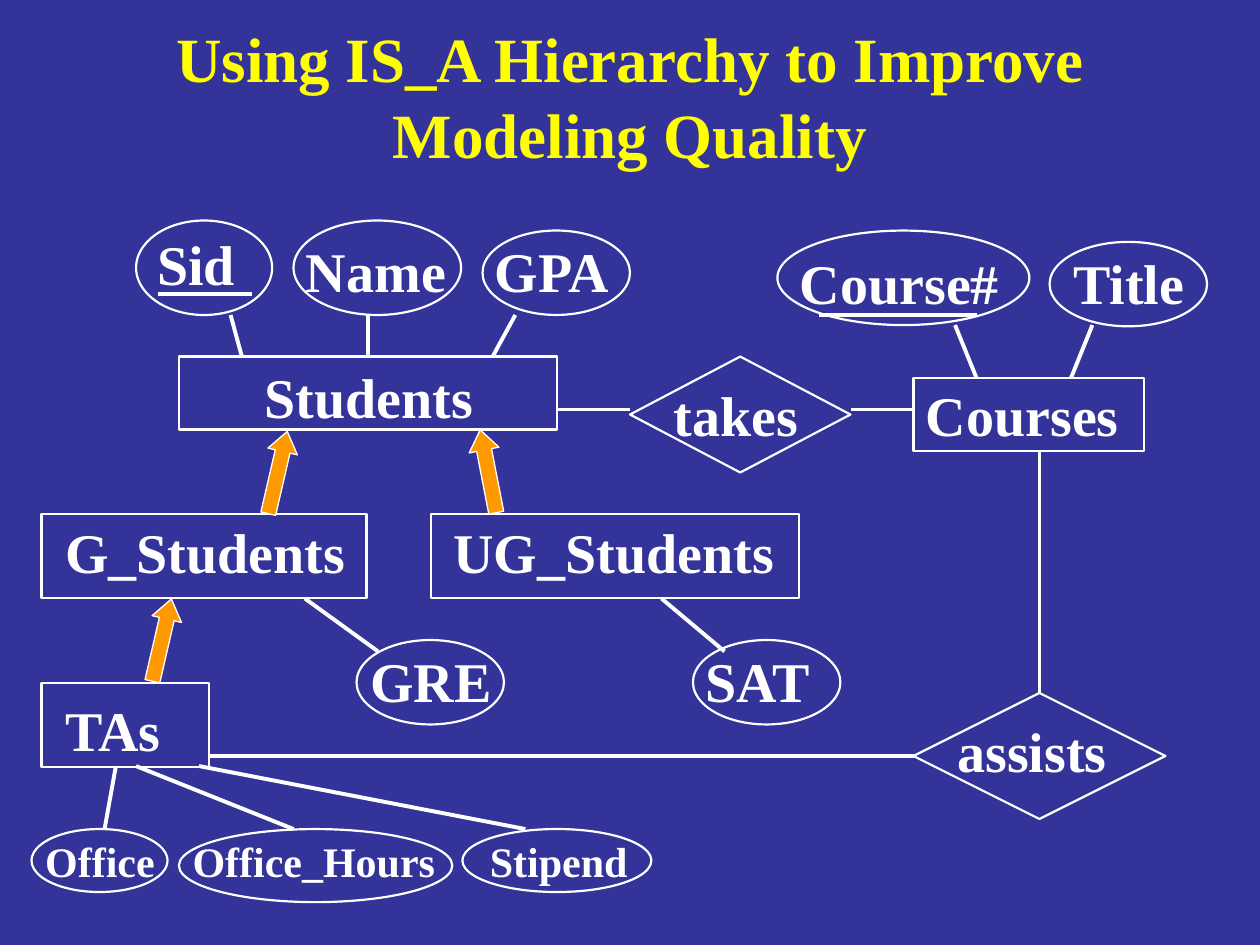
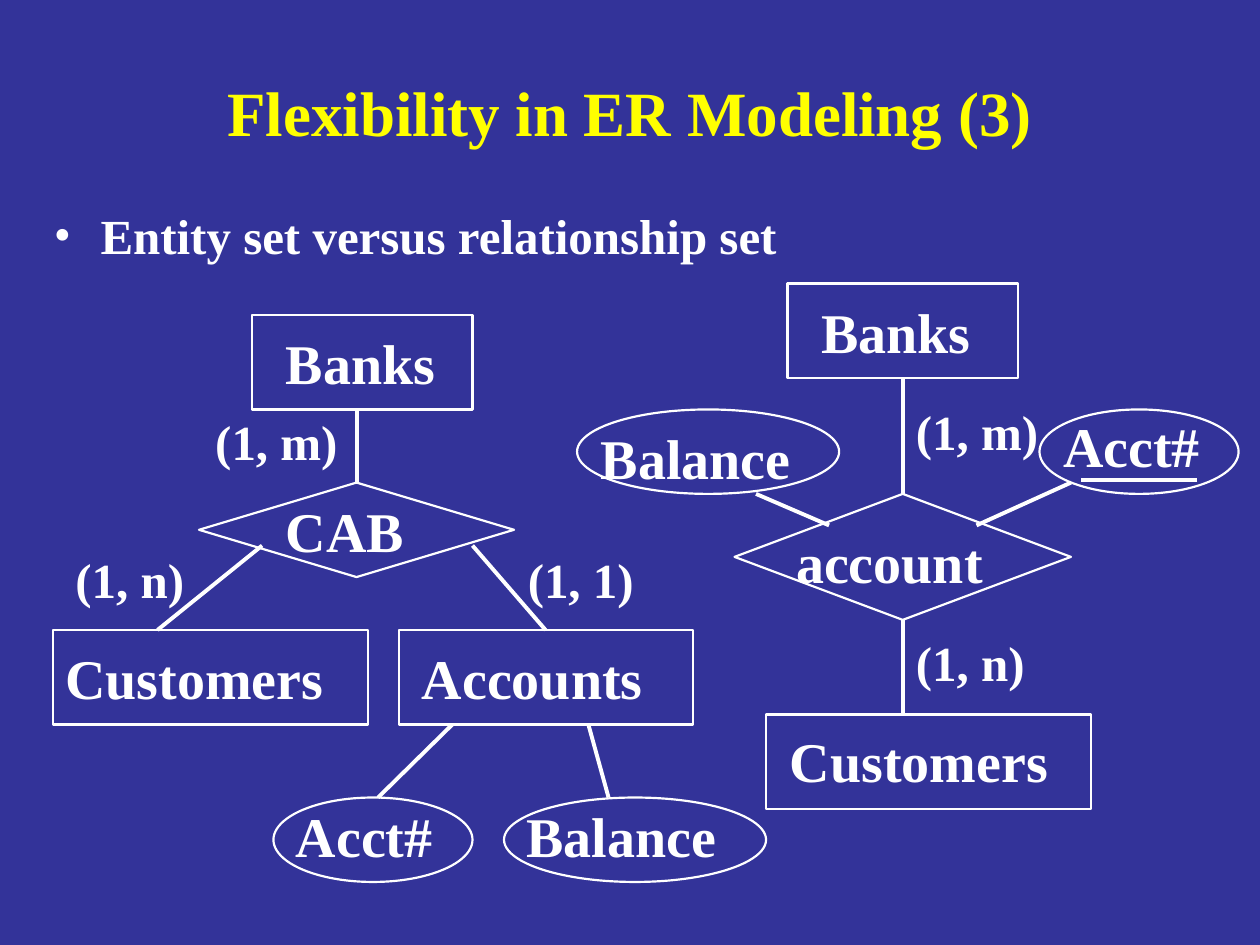
from lxml import etree
from pptx import Presentation
from pptx import util as u
from pptx.dml import color
from pptx.enum import shapes, text
from pptx.oxml import ns

BLUE, YELLOW, WHITE, ORANGE = "333399", "FFFF00", "FFFFFF", "FF9900"
FONT = "Times New Roman"
KIND = shapes.MSO_SHAPE
RECT, OVAL, RHOMB = KIND.RECTANGLE, KIND.OVAL, KIND.DIAMOND

IS_A_NODES = [
    (OVAL, (1.08, 1.75, 1.08, 0.75), "Sid", (1.15, 1.77, 0.82)),
    (OVAL, (2.33, 1.75, 1.33, 0.75), "Name", (2.33, 1.83, 1.31)),
    (OVAL, (3.83, 1.83, 1.17, 0.67), "GPA", (3.83, 1.83, 1.14)),
    (OVAL, (6.17, 1.83, 2, 0.75), "Course#", (6.25, 1.92, 1.78)),
    (OVAL, (8.33, 1.92, 1.25, 0.67), "Title", (8.42, 1.92, 1.09)),
    (RECT, (1.42, 2.83, 3, 0.58), "Students", (2, 2.83, 1.86)),
    (RHOMB, (5, 2.83, 1.75, 0.92), "takes", (5.25, 2.97, 1.19)),
    (RECT, (7.25, 3, 1.83, 0.58), "Courses", (7.25, 2.97, 1.73)),
    (RECT, (0.33, 4.08, 2.58, 0.67), "G_Students", (0.42, 4.06, 2.42)),
    (RECT, (3.42, 4.08, 2.92, 0.67), "UG_Students", (3.5, 4.06, 2.74)),
    (OVAL, (2.83, 5.08, 1.17, 0.67), "GRE", (2.84, 5.08, 1.16)),
    (OVAL, (5.5, 5.08, 1.17, 0.67), "SAT", (5.5, 5.08, 1.06)),
    (RECT, (0.33, 5.42, 1.33, 0.67), "TAs", (0.42, 5.47, 0.99)),
    (RHOMB, (7.25, 5.5, 2, 1), "assists", (7.5, 5.64, 1.38)),
    (OVAL, (0.25, 6.58, 1.08, 0.5), "Office", (0.26, 6.58, 1.07), 24),
    (OVAL, (1.42, 6.58, 2.17, 0.58), "Office_Hours", (1.43, 6.58, 2.12), 24),
    (OVAL, (3.67, 6.58, 1.5, 0.5), "Stipend", (3.79, 6.58, 1.29), 24),
]
IS_A_LINES = [
    (1.25, 2.33, 2, 2.33), (6.5, 2.5, 7.75, 2.5),
    (1.92, 2.83, 1.83, 2.5), (2.92, 2.83, 2.92, 2.5), (4.09, 2.5, 3.91, 2.83),
    (7.75, 3, 7.58, 2.58), (8.67, 2.58, 8.5, 3),
    (4.42, 3.25, 5, 3.25), (6.75, 3.25, 7.25, 3.25), (8.25, 3.58, 8.25, 5.5),
    (2.42, 4.75, 3, 5.17), (5.25, 4.75, 5.75, 5.17), (1.67, 6, 7.25, 6),
    (0.92, 6.08, 0.83, 6.58), (1.08, 6.08, 2.33, 6.58), (1.58, 6.08, 4.17, 6.58),
]
IS_A_ARROWS = [(3.54, 3.62, 259), (1.87, 3.63, 283), (0.95, 4.96, 283)]

BANK_NODES = [
    (RECT, (2, 2.5, 1.75, 0.75), "Banks", (2.17, 2.56, 1.39)),
    (RHOMB, (1.58, 3.83, 2.5, 0.75), "CAB", (2.17, 3.89, 1.14)),
    (RECT, (0.42, 5, 2.5, 0.75), "Customers", (0.42, 5.06, 2.25)),
    (RECT, (3.17, 5, 2.33, 0.75), "Accounts", (3.25, 5.06, 1.95)),
    (OVAL, (2.17, 6.33, 1.58, 0.67), "Acct#", (2.25, 6.31, 1.28)),
    (OVAL, (4, 6.33, 2.08, 0.67), "Balance", (4.08, 6.31, 1.71)),
    (RECT, (6.25, 2.25, 1.83, 0.75), "Banks", (6.42, 2.31, 1.39)),
    (OVAL, (4.58, 3.25, 2.08, 0.67), "Balance", (4.67, 3.31, 1.71)),
    (OVAL, (8.25, 3.25, 1.58, 0.67), "Acct#", (8.34, 3.22, 1.28)),
    (RHOMB, (5.83, 3.92, 2.67, 1), "account", (6.22, 4.14, 1.68)),
    (RECT, (6.08, 5.67, 2.58, 0.75), "Customers", (6.17, 5.72, 2.25)),
]
BANK_LINES = [
    (2.83, 3.84, 2.83, 3.25), (1.25, 5, 2.08, 4.33), (3.75, 4.33, 4.33, 5),
    (3.59, 5.75, 3, 6.33), (4.67, 5.75, 4.83, 6.33),
    (7.17, 3, 7.17, 3.92), (7.17, 4.92, 7.17, 5.67),
    (6, 3.92, 6.58, 4.17), (8.5, 3.83, 7.75, 4.17), (9.5, 3.81, 8.58, 3.81),
]
BANK_RATIOS = [
    ("(1, m)", (1.61, 3.22, 1.17)), ("(1, n)", (0.5, 4.31, 1.06)),
    ("(1, 1)", (4.09, 4.31, 1.04)), ("(1, m)", (7.17, 3.14, 1.17)),
    ("(1, n)", (7.17, 4.97, 1.06)),
]


def rgb(code):
    """Turn a hex string into a colour."""
    return color.RGBColor.from_string(code)


def inch(*sizes):
    """Turn numbers into lengths in inches."""
    return [u.Inches(size) for size in sizes]


def write(slide, words, box, size, hue=WHITE):
    """Add a wrapping text box with one bold paragraph."""
    frame = slide.shapes.add_textbox(*inch(*box)).text_frame
    frame.word_wrap = True
    frame.text = words
    font = frame.paragraphs[0].runs[0].font
    font.name, font.size, font.bold = FONT, u.Pt(size), True
    font.color.rgb = rgb(hue)
    return frame


def label(slide, words, spot, size=32):
    """Add a one-line label, slightly wider than its text."""
    left, top, width = spot
    frame = write(slide, words, (left, top, width + 0.05, size / 60 + 0.1), size)
    frame.word_wrap = False


def shape(slide, kind, box, width=1.25, fill=None):
    """Add a white-edged shape, hollow unless a fill is given."""
    item = slide.shapes.add_shape(kind, *inch(*box))
    item.shadow.inherit = False
    if fill:
        item.fill.solid()
        item.fill.fore_color.rgb = rgb(fill)
    else:
        item.fill.background()
    item.line.color.rgb = rgb(WHITE)
    item.line.width = u.Pt(width)
    return item


def node(slide, kind, box, words, spot, size=32):
    """Add an entity, relationship or attribute with its label."""
    shape(slide, kind, box)
    label(slide, words, spot, size)


def link(slide, *ends):
    """Add a straight white line."""
    line = slide.shapes.add_connector(shapes.MSO_CONNECTOR.STRAIGHT, *inch(*ends))
    line.line.color.rgb = rgb(WHITE)
    line.line.width = u.Pt(2.25)
    etree.SubElement(line._element.spPr, ns.qn("a:effectLst"))


def arrow(slide, left, top, turn):
    """Add an orange IS_A arrow turned by some degrees."""
    item = shape(slide, KIND.RIGHT_ARROW, (left, top, 0.67, 0.24), 0.75, ORANGE)
    item.adjustments[1] = 0.68
    item.rotation = turn


def bullet(slide, words, box):
    """Add a bulleted line with a hanging indent."""
    para = write(slide, words, box, 28).paragraphs[0]
    props = para._p.get_or_add_pPr()
    indent = u.Inches(0.37)
    props.set("marL", str(indent))
    props.set("indent", str(-indent))
    hue = etree.SubElement(props, ns.qn("a:buClr"))
    etree.SubElement(hue, ns.qn("a:srgbClr"), val=WHITE)
    etree.SubElement(props, ns.qn("a:buFont"), typeface=FONT)
    etree.SubElement(props, ns.qn("a:buChar"), char="•")
    para.font.size = u.Pt(28)


def page(deck, title, top, height, nodes, lines):
    """Add a blue slide with a title and an ER diagram."""
    slide = deck.slides.add_slide(deck.slide_layouts[6])
    slide.background.fill.solid()
    slide.background.fill.fore_color.rgb = rgb(BLUE)
    frame = write(slide, title, (0.75, top, 8.5, height), 36, YELLOW)
    frame.vertical_anchor = text.MSO_ANCHOR.MIDDLE
    frame.paragraphs[0].alignment = text.PP_ALIGN.CENTER
    for item in nodes:
        node(slide, *item)
    for ends in lines:
        link(slide, *ends)
    return slide


def main():
    """Build and save both slides."""
    deck = Presentation()
    deck.slide_width, deck.slide_height = inch(10, 7.5)

    slide = page(deck, "Using IS_A Hierarchy to Improve Modeling Quality",
                 0.17, 1.17, IS_A_NODES, IS_A_LINES)
    for spot in IS_A_ARROWS:
        arrow(slide, *spot)

    slide = page(deck, "Flexibility in ER Modeling (3)",
                 0.42, 0.92, BANK_NODES, BANK_LINES)
    bullet(slide, "Entity set versus relationship set", (0.33, 1.58, 9.33, 5.58))
    for words, spot in BANK_RATIOS:
        label(slide, words, spot, 28)

    deck.save("out.pptx")


if __name__ == "__main__":
    main()
